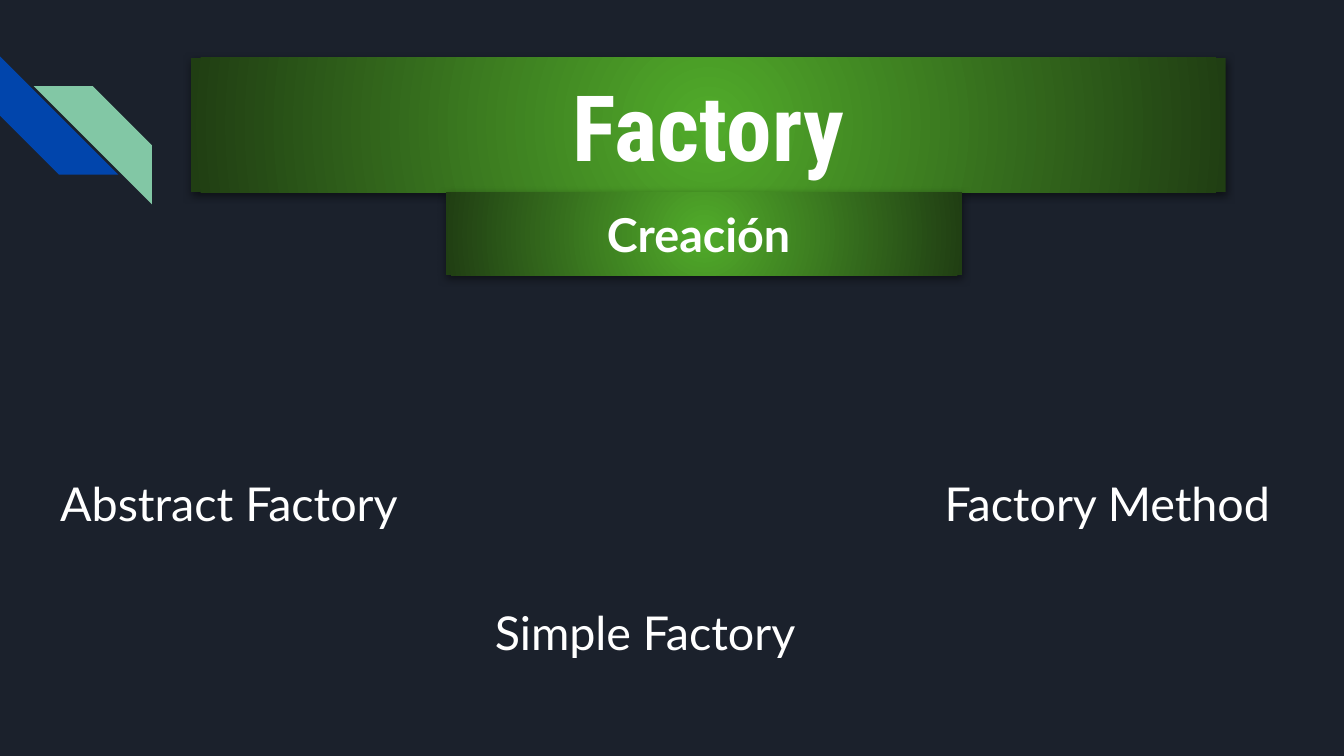
from lxml import etree
from pptx import Presentation, util as u
from pptx.dml.color import RGBColor
from pptx.enum import shapes, text
from pptx.oxml import parse_xml
from pptx.oxml.ns import nsdecls, qn

NAVY = RGBColor(0x1B, 0x21, 0x2C)
BLUE = RGBColor(0x01, 0x45, 0xAC)
MINT = RGBColor(0x82, 0xC7, 0xA5)
GREEN = RGBColor(0x51, 0xAB, 0x2A)
DARK_GREEN = RGBColor(0x20, 0x3E, 0x13)
WHITE = RGBColor(0xFF, 0xFF, 0xFF)

WIDTH = 10
HEIGHT = WIDTH * 9 / 16
MARGIN = 0.1
STRIPE = 0.88
LABEL_WIDTH, LABEL_HEIGHT = 3.5, 0.62
UPPER_ROW, LOWER_ROW = 3.43, 4.39
BANNER_TOP, BANNER_HEIGHT = 0.43, 1


def place(shape, left, top, width, height):
    shape.left, shape.top = u.Inches(left), u.Inches(top)
    shape.width, shape.height = u.Inches(width), u.Inches(height)


def write(shape, content, size=25, font="Lato", bold=False,
          align=text.PP_ALIGN.CENTER, anchor=text.MSO_ANCHOR.TOP):
    frame = shape.text_frame
    frame.word_wrap = True
    frame.auto_size = text.MSO_AUTO_SIZE.NONE
    frame.vertical_anchor = anchor
    frame.margin_left = frame.margin_right = u.Inches(MARGIN)
    frame.margin_top = frame.margin_bottom = u.Inches(MARGIN)
    paragraph = frame.paragraphs[0]
    paragraph.alignment = align
    run = paragraph.add_run()
    run.text = content
    run.font.name = font
    run.font.size = u.Pt(size)
    run.font.bold = bold
    run.font.color.rgb = WHITE


def style_banner(shape):
    shape.fill.gradient()
    for stop, color in zip(shape.fill.gradient_stops, (GREEN, DARK_GREEN)):
        stop.color.rgb = color
    shape.line.fill.background()
    shape.shadow.inherit = False

    properties = shape.element.spPr
    gradient = properties.find(qn("a:gradFill"))
    gradient.remove(gradient.find(qn("a:lin")))
    gradient.append(parse_xml(
        f'<a:path {nsdecls("a")} path="circle">'
        '<a:fillToRect l="50000" t="50000" r="50000" b="50000"/></a:path>'))
    shadow = etree.SubElement(
        properties.find(qn("a:effectLst")), qn("a:outerShdw"),
        blurRad=str(u.Pt(4.5)), dist=str(u.Pt(1.5)), dir="5400000",
        algn="bl", rotWithShape="0")
    color = etree.SubElement(shadow, qn("a:srgbClr"), val="000000")
    etree.SubElement(color, qn("a:alpha"), val="50000")


def add_stripe(group, left, top, rotation, color):
    stripe = group.shapes.add_shape(
        shapes.MSO_SHAPE.DIAGONAL_STRIPE, u.Inches(left), u.Inches(top),
        u.Inches(STRIPE), u.Inches(STRIPE))
    stripe.rotation = rotation
    stripe.shadow.inherit = False
    stripe.fill.solid()
    stripe.fill.fore_color.rgb = color
    stripe.line.fill.background()


def add_title(slide):
    title = slide.shapes.title
    place(title, 1.42, BANNER_TOP, 7.7, BANNER_HEIGHT)
    style_banner(title)
    write(title, "Factory", size=49, font="Roboto Condensed", bold=True,
          anchor=text.MSO_ANCHOR.MIDDLE)


def add_category(slide):
    category = slide.shapes.add_shape(
        shapes.MSO_SHAPE.RECTANGLE, u.Inches(3.32),
        u.Inches(BANNER_TOP + BANNER_HEIGHT),
        u.Inches(3.84), u.Inches(LABEL_HEIGHT))
    style_banner(category)
    write(category, "Creación ", bold=True)


def add_label(slide, content, left, top, align):
    label = slide.shapes.add_textbox(
        u.Inches(left), u.Inches(top),
        u.Inches(LABEL_WIDTH), u.Inches(LABEL_HEIGHT))
    write(label, content, align=align)


def main():
    presentation = Presentation()
    presentation.slide_width = u.Inches(WIDTH)
    presentation.slide_height = u.Inches(HEIGHT)
    slide = presentation.slides.add_slide(presentation.slide_layouts[5])
    slide.background.fill.solid()
    slide.background.fill.fore_color.rgb = NAVY

    stripes = slide.shapes.add_group_shape()
    add_stripe(stripes, 0, 0.42, 270, BLUE)
    add_stripe(stripes, 0.25, 0.64, 90, MINT)
    add_title(slide)
    add_category(slide)
    for content, left, top, align in (
        ("Abstract Factory", 0.35, UPPER_ROW, text.PP_ALIGN.LEFT),
        ("Simple Factory ", 3.09, LOWER_ROW, text.PP_ALIGN.CENTER),
        ("Factory Method", 6.93, UPPER_ROW, text.PP_ALIGN.LEFT),
    ):
        add_label(slide, content, left, top, align)
    presentation.save("out.pptx")


if __name__ == "__main__":
    main()
